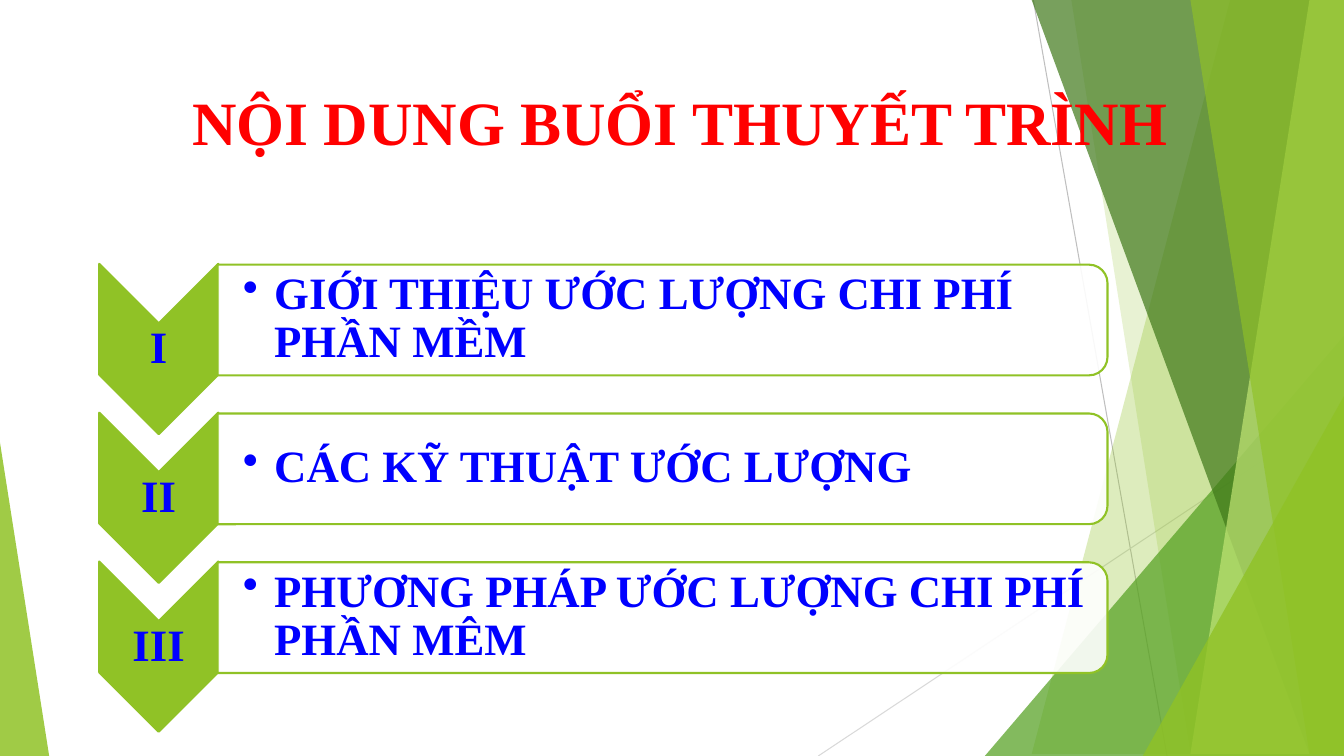
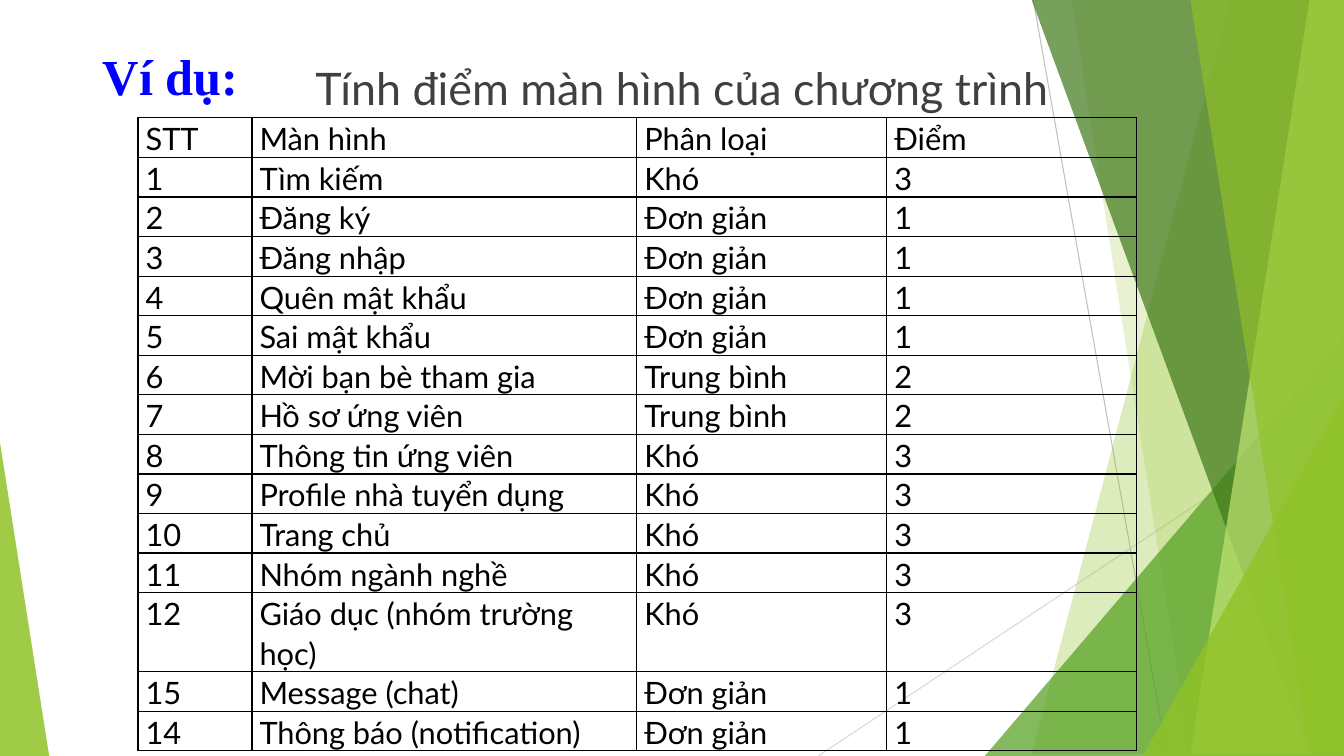
from dataclasses import dataclass
from typing import Optional

from lxml.etree import SubElement
from pptx import Presentation
from pptx.dml.color import RGBColor as Rgb
from pptx.enum.shapes import MSO_CONNECTOR as Connector
from pptx.enum.shapes import MSO_SHAPE as Preset
from pptx.enum.text import MSO_ANCHOR as Anchor
from pptx.enum.text import PP_ALIGN as Align
from pptx.oxml.ns import qn
from pptx.util import Cm, Pt


@dataclass(frozen=True)
class Theme:
    lime: str = "90C226"
    green: str = "54A021"
    forest: str = "3F7819"
    pale_lime: str = "C0E474"
    grey: str = "BFBFBF"
    light_grey: str = "D9D9D9"
    white: str = "FFFFFF"
    black: str = "000000"
    red: str = "FF0000"
    blue: str = "0000FF"
    body: str = "404040"
    serif: str = "Times New Roman"
    sans: str = "Lato"
    title_size: int = 44
    heading_size: int = 36
    text_size: int = 32
    table_size: int = 22
    hairline: float = 0.75
    outline: float = 1.5
    border: float = 1


THEME = Theme()
WIDTH, HEIGHT = 33.87, 19.05


@dataclass(frozen=True)
class TextStyle:
    font: str
    size: int
    color: str
    bold: bool = False
    align: Align = Align.LEFT
    spacing: Optional[float] = None


@dataclass(frozen=True)
class Box:
    left: float
    top: float
    width: float
    height: float

    def lengths(self) -> tuple[Cm, Cm, Cm, Cm]:
        return Cm(self.left), Cm(self.top), Cm(self.width), Cm(self.height)

    def quarter_turned(self) -> "Box":
        shift = (self.width - self.height) / 2
        return Box(self.left + shift, self.top - shift, self.height, self.width)


@dataclass(frozen=True)
class Ray:
    start: tuple[float, float]
    end: tuple[float, float]
    color: str


@dataclass(frozen=True)
class Facet:
    top_x: float
    bottom_x: float
    color: str
    opacity: int


@dataclass(frozen=True)
class Wedge:
    box: Box
    apex: float
    color: str
    opacity: int


@dataclass(frozen=True)
class Topic:
    numeral: str
    title: str


@dataclass(frozen=True)
class Screen:
    number: int
    name: str
    level: str


TITLE = TextStyle(THEME.serif, THEME.title_size, THEME.red, True, Align.CENTER)
HEADING = TextStyle(THEME.serif, THEME.heading_size, THEME.blue, True)
NUMERAL = TextStyle(THEME.serif, THEME.text_size, THEME.blue, True, Align.CENTER, 0.9)
TOPIC = TextStyle(THEME.serif, THEME.text_size, THEME.blue, True, spacing=0.9)
SUBTITLE = TextStyle(THEME.sans, THEME.text_size, THEME.body)
CELL = TextStyle(THEME.sans, THEME.table_size, THEME.black, spacing=1.07)

RAYS = (
    Ray((26.04, 0), (29.41, HEIGHT), THEME.grey),
    Ray((WIDTH, 10.24), (20.62, HEIGHT), THEME.light_grey),
)
BACKDROP = (
    Facet(31.19, 25.5, THEME.lime, 30),
    Facet(26.67, 30.05, THEME.lime, 20),
    Wedge(Box(24.82, 8.46, 9.05, 10.59), 1, THEME.green, 72),
    Facet(25.93, 32.79, THEME.forest, 70),
    Facet(33.1, 30.28, THEME.pale_lime, 70),
    Facet(30.38, 33.48, THEME.lime, 65),
    Wedge(Box(28.8, 9.98, 5.07, 9.07), 1, THEME.lime, 80),
    Wedge(Box(0, 11.15, 1.24, 7.9), 0, THEME.lime, 85),
)

TOPICS = (
    Topic("I", "GIỚI THIỆU ƯỚC LƯỢNG CHI PHÍ PHẦN MỀM"),
    Topic("II", "CÁC KỸ THUẬT ƯỚC LƯỢNG"),
    Topic("III", "PHƯƠNG PHÁP ƯỚC LƯỢNG CHI PHÍ PHẦN MÊM"),
)
TOPIC_TOP, TOPIC_PITCH = 6.65, 3.75

EASY, MEDIUM, HARD = "Đơn giản", "Trung bình", "Khó"
POINTS = {EASY: 1, MEDIUM: 2, HARD: 3}
COLUMNS = {"STT": 2.87, "Màn hình": 9.7, "Phân loại": 6.3, "Điểm": 6.3}
ROW_HEIGHT = 0.89
SCREENS = (
    Screen(1, "Tìm kiếm", HARD),
    Screen(2, "Đăng ký", EASY),
    Screen(3, "Đăng nhập", EASY),
    Screen(4, "Quên mật khẩu", EASY),
    Screen(5, "Sai mật khẩu", EASY),
    Screen(6, "Mời bạn bè tham gia", MEDIUM),
    Screen(7, "Hồ sơ ứng viên", MEDIUM),
    Screen(8, "Thông tin ứng viên", HARD),
    Screen(9, "Profile nhà tuyển dụng", HARD),
    Screen(10, "Trang chủ", HARD),
    Screen(11, "Nhóm ngành nghề", HARD),
    Screen(12, "Giáo dục (nhóm trường học)", HARD),
    Screen(15, "Message (chat)", EASY),
    Screen(14, "Thông báo (notification)", EASY),
)


def paint(shape, color: str, opacity: int = 100, outline: Optional[str] = None) -> None:
    shape.shadow.inherit = False
    shape.fill.solid()
    shape.fill.fore_color.rgb = Rgb.from_string(color)
    if opacity < 100:
        tint = shape.element.spPr.find(qn("a:solidFill")).find(qn("a:srgbClr"))
        SubElement(tint, qn("a:alpha"), val=str(opacity * 1000))
    if outline:
        shape.line.color.rgb = Rgb.from_string(outline)
        shape.line.width = Pt(THEME.outline)
    else:
        shape.line.fill.background()


def write(frame, text: str, style: TextStyle) -> None:
    frame.text = text
    paragraph = frame.paragraphs[0]
    paragraph.alignment = style.align
    if style.spacing:
        paragraph.line_spacing = style.spacing
    for run in paragraph.runs:
        run.font.name = style.font
        run.font.size = Pt(style.size)
        run.font.bold = style.bold
        run.font.color.rgb = Rgb.from_string(style.color)


def add_text(slide, box: Box, text: str, style: TextStyle):
    frame = slide.shapes.add_textbox(*box.lengths()).text_frame
    frame.word_wrap = True
    write(frame, text, style)
    return frame


def add_centred_text(slide, box: Box, text: str, style: TextStyle, left_inset: float):
    frame = add_text(slide, box, text, style)
    frame.vertical_anchor = Anchor.MIDDLE
    frame.margin_left = Cm(left_inset)
    frame.margin_top = frame.margin_right = frame.margin_bottom = Cm(0.05)
    return frame


def add_ray(slide, ray: Ray) -> None:
    line = slide.shapes.add_connector(
        Connector.STRAIGHT, *(Cm(value) for value in ray.start + ray.end)
    )
    line.line.color.rgb = Rgb.from_string(ray.color)
    line.line.width = Pt(THEME.hairline)
    SubElement(line.element.spPr, qn("a:effectLst"))


def add_facet(slide, facet: Facet) -> None:
    builder = slide.shapes.build_freeform(facet.top_x, 0, scale=Cm(1))
    builder.add_line_segments(
        [(WIDTH, 0), (WIDTH, HEIGHT), (facet.bottom_x, HEIGHT)], close=True
    )
    paint(builder.convert_to_shape(), facet.color, facet.opacity)


def add_wedge(slide, wedge: Wedge) -> None:
    triangle = slide.shapes.add_shape(Preset.ISOSCELES_TRIANGLE, *wedge.box.lengths())
    triangle.adjustments[0] = wedge.apex
    paint(triangle, wedge.color, wedge.opacity)


def add_slide(deck):
    slide = deck.slides.add_slide(deck.slide_layouts[6])
    for ray in RAYS:
        add_ray(slide, ray)
    for piece in BACKDROP:
        if isinstance(piece, Facet):
            add_facet(slide, piece)
        else:
            add_wedge(slide, piece)
    return slide


def add_turned_shape(slide, preset: Preset, box: Box, color: str, opacity: int) -> None:
    shape = slide.shapes.add_shape(preset, *box.quarter_turned().lengths())
    shape.rotation = 90
    paint(shape, color, opacity, THEME.lime)


def add_topic(slide, topic: Topic, top: float) -> None:
    add_turned_shape(slide, Preset.CHEVRON, Box(2.5, top, 3, 4.29), THEME.lime, 100)
    add_centred_text(slide, Box(2.5, top + 1.5, 3, 1.3), topic.numeral, NUMERAL, 0.05)
    panel = Box(5.48, top + 0.02, 22.43, 2.79)
    add_turned_shape(slide, Preset.ROUND_2_SAME_RECTANGLE, panel, THEME.white, 90)
    label = Box(5.48, top + 0.14, 22.28, 2.51)
    frame = add_centred_text(slide, label, topic.title, TOPIC, 0.64)
    properties = frame.paragraphs[0]._p.get_or_add_pPr()
    properties.set("marL", str(Cm(0.79)))
    properties.set("indent", str(-Cm(0.79)))
    SubElement(properties, qn("a:buChar"), char="•")


def style_cell(cell, text: str) -> None:
    write(cell.text_frame, text, CELL)
    cell.margin_left = cell.margin_right = Cm(0.19)
    cell.margin_top = cell.margin_bottom = 0
    properties = cell._tc.get_or_add_tcPr()
    for side in ("lnL", "lnR", "lnT", "lnB"):
        edge = SubElement(properties, qn(f"a:{side}"), w=str(Pt(THEME.border)))
        SubElement(SubElement(edge, qn("a:solidFill")), qn("a:srgbClr"), val=THEME.black)
    cell.fill.background()


def add_score_table(slide) -> None:
    rows = [tuple(COLUMNS)] + [
        (str(screen.number), screen.name, screen.level, str(POINTS[screen.level]))
        for screen in SCREENS
    ]
    area = Box(3.48, 2.97, sum(COLUMNS.values()), ROW_HEIGHT * len(rows))
    table = slide.shapes.add_table(len(rows), len(COLUMNS), *area.lengths()).table
    table.first_row = table.horz_banding = False
    for column, width in zip(table.columns, COLUMNS.values()):
        column.width = Cm(width)
    for row, texts in zip(table.rows, rows):
        row.height = Cm(ROW_HEIGHT)
        for cell, text in zip(row.cells, texts):
            style_cell(cell, text)


def build_agenda(deck) -> None:
    slide = add_slide(deck)
    add_text(slide, Box(4.09, 1.98, 26.11, 3.66), "NỘI DUNG BUỔI THUYẾT TRÌNH", TITLE)
    for index, topic in enumerate(TOPICS):
        add_topic(slide, topic, TOPIC_TOP + index * TOPIC_PITCH)


def build_example(deck) -> None:
    slide = add_slide(deck)
    add_text(slide, Box(2.34, 1.02, 29.21, 1.96), "Ví dụ:", HEADING)
    add_score_table(slide)
    add_text(slide, Box(7.7, 1.4, 19.96, 1.57), "Tính điểm màn hình của chương trình", SUBTITLE)


def main() -> None:
    deck = Presentation()
    deck.slide_width, deck.slide_height = Cm(WIDTH), Cm(HEIGHT)
    build_agenda(deck)
    build_example(deck)
    deck.save("out.pptx")


if __name__ == "__main__":
    main()
